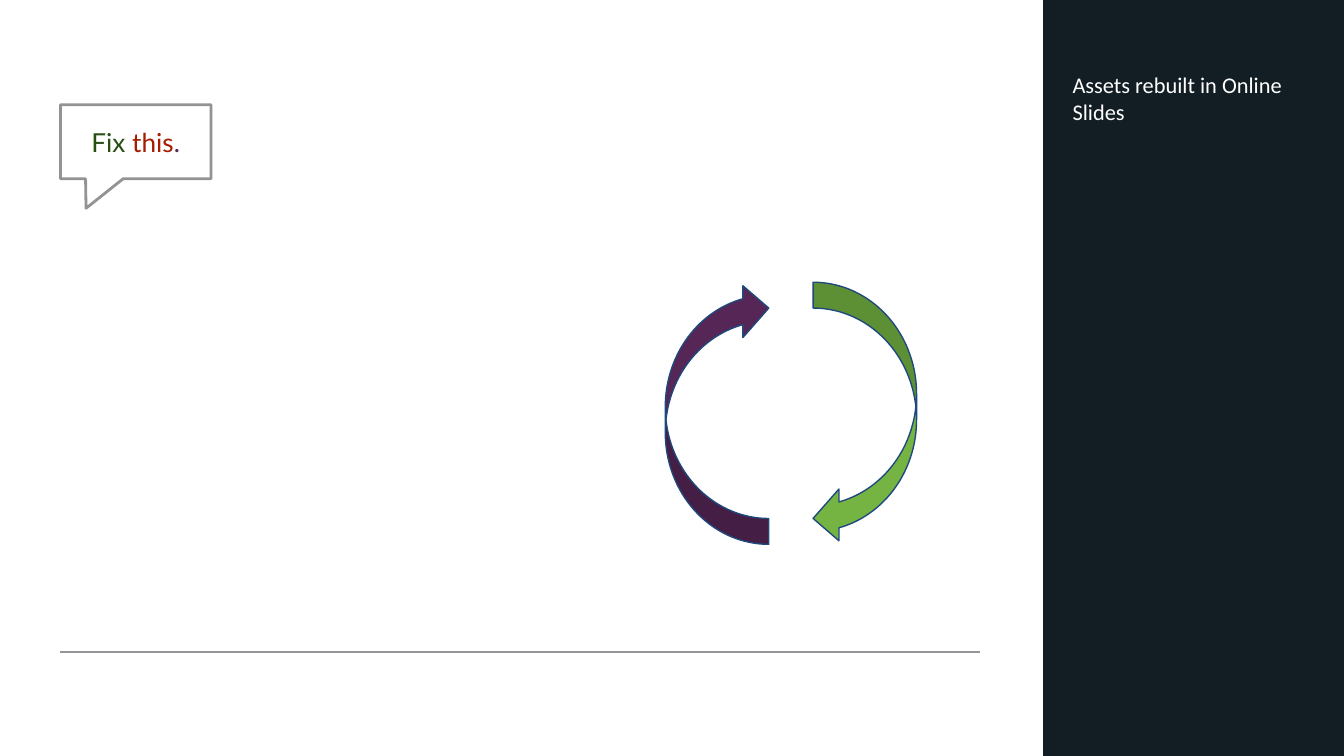
from lxml import etree
from pptx import Presentation
from pptx.dml.color import RGBColor
from pptx.enum.shapes import MSO_CONNECTOR, MSO_SHAPE
from pptx.enum.text import MSO_ANCHOR, MSO_AUTO_SIZE, PP_ALIGN
from pptx.oxml.ns import qn
from pptx.util import Inches, Pt


def color(hex_string):
    return RGBColor.from_string(hex_string)


def write_text(shape, runs, font, size, align, anchor, inset_x, inset_y):
    """Fill one paragraph with (text, hex colour) runs."""
    frame = shape.text_frame
    frame.word_wrap = True
    frame.auto_size = MSO_AUTO_SIZE.NONE
    frame.vertical_anchor = anchor
    frame.margin_left = frame.margin_right = Inches(inset_x)
    frame.margin_top = frame.margin_bottom = Inches(inset_y)
    paragraph = frame.paragraphs[0]
    paragraph.alignment = align
    for text, hex_string in runs:
        run = paragraph.add_run()
        run.text = text
        run.font.name = font
        run.font.size = Pt(size)
        run.font.color.rgb = color(hex_string)


prs = Presentation()
prs.slide_width = Inches(10)
prs.slide_height = Inches(10 * 9 / 16)
slide = prs.slides.add_slide(prs.slide_layouts[5])
slide.background.fill.solid()
slide.background.fill.fore_color.rgb = color("131E24")
shapes = slide.shapes

# White work area beside the dark sidebar
work_area = shapes.add_shape(MSO_SHAPE.RECTANGLE, 0, 0, Inches(7.76), prs.slide_height)
work_area.shadow.inherit = False
work_area.fill.solid()
work_area.fill.fore_color.rgb = color("FFFFFF")
work_area.line.fill.background()

# Sidebar title
title = shapes.title
title.left, title.top = Inches(7.89), Inches(0.49)
title.width, title.height = Inches(2.11), Inches(3.8)
write_text(title, [("Assets rebuilt in Online Slides", "FFFFFF")], font="Calibri", size=12,
           align=PP_ALIGN.LEFT, anchor=MSO_ANCHOR.TOP, inset_x=0.09, inset_y=0.04)

# Footer rule
footer_rule = shapes.add_connector(MSO_CONNECTOR.STRAIGHT, Inches(0.45), Inches(4.85),
                                   Inches(7.29), Inches(4.85))
footer_rule.line.color.rgb = color("939598")
footer_rule.line.width = Pt(0.75)
etree.SubElement(footer_rule._element.spPr, qn("a:effectLst"))

# Cycle of two curved arrows
for left, rotation, fill in [(6.05, 0, "75B443"), (4.95, 180, "552656")]:
    cycle_arrow = shapes.add_shape(MSO_SHAPE.CURVED_LEFT_ARROW, Inches(left), Inches(2.1),
                                   Inches(0.77), Inches(1.95))
    cycle_arrow.rotation = rotation
    cycle_arrow.shadow.inherit = False
    cycle_arrow.fill.solid()
    cycle_arrow.fill.fore_color.rgb = color(fill)
    cycle_arrow.line.color.rgb = color("1F497D")
    cycle_arrow.line.width = Pt(0.75)

# Speech bubble
bubble = shapes.add_shape(MSO_SHAPE.ROUNDED_RECTANGULAR_CALLOUT, Inches(0.45), Inches(0.78),
                          Inches(1.12), Inches(0.55))
for index, value in enumerate([-0.33, 0.9, 0]):
    bubble.adjustments[index] = value
bubble.shadow.inherit = False
bubble.fill.solid()
bubble.fill.fore_color.rgb = color("FFFFFF")
bubble.line.color.rgb = color("929395")
bubble.line.width = Pt(1.5)
write_text(bubble, [("Fix ", "274E13"), ("this", "A61C00"), (".", "552656")], font="Lato",
           size=14, align=PP_ALIGN.CENTER, anchor=MSO_ANCHOR.MIDDLE, inset_x=0.1, inset_y=0.1)

prs.save("out.pptx")
